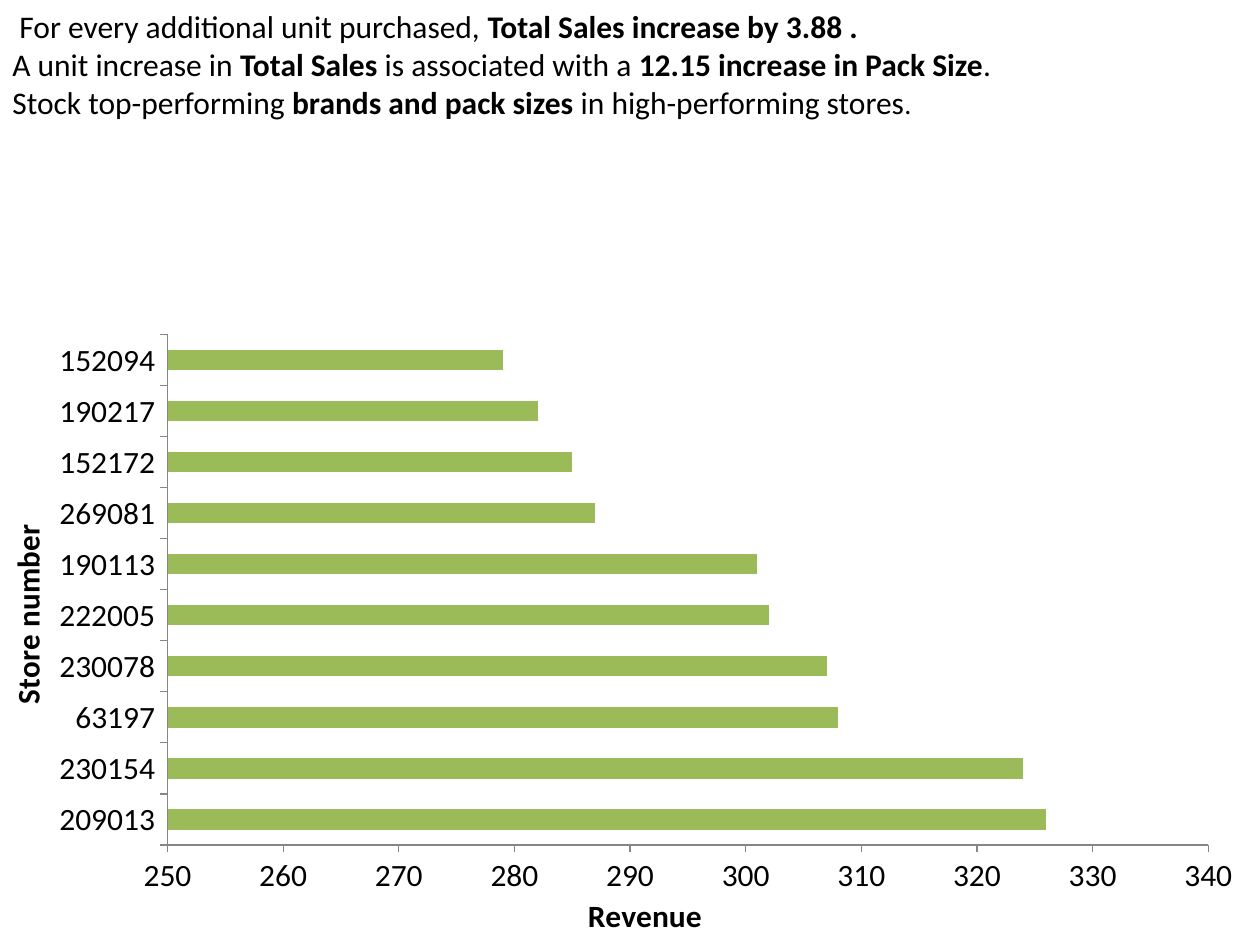
from dataclasses import dataclass
from typing import NamedTuple

import pptx
import pptx.chart.data
import pptx.dml.color
import pptx.enum.chart
import pptx.enum.text
import pptx.oxml
import pptx.oxml.ns
import pptx.util

EMU_PER_PX = 914400 / 126


@dataclass(frozen=True)
class Theme:
    font: str = "Calibri"
    size: int = 18
    small_size: int = 16
    text: str = "000000"
    bar: str = "9BBB59"
    axis: str = "868686"


class Box(NamedTuple):
    left: int
    top: int
    width: int
    height: int


class Run(NamedTuple):
    text: str
    bold: bool = False
    size: int = 18


class StoreRevenue(NamedTuple):
    store: str
    revenue: int


THEME = Theme()
SLIDE = Box(0, 0, 1260, 945)
FINDINGS_BOX = Box(0, 0, 1260, 251)
CHART_BOX = Box(0, 231, 1260, 714)
PLOT_BOX = Box(167, 336, 1041, 518)

FINDINGS = [
    [Run(" For every additional unit purchased, "), Run("Total Sales increase by 3.88 .", True)],
    [
        Run("A unit increase in "),
        Run("Total Sales", True),
        Run(" is associated with a "),
        Run("12.15 increase in Pack Size", True),
        Run("."),
    ],
    [
        Run("Stock top-performing "),
        Run("brands and pack sizes", True),
        Run(" in high-performing stores"),
        Run(".", size=THEME.small_size),
    ],
]

STORES = [
    StoreRevenue("209013", 326),
    StoreRevenue("230154", 324),
    StoreRevenue("63197", 308),
    StoreRevenue("230078", 307),
    StoreRevenue("222005", 302),
    StoreRevenue("190113", 301),
    StoreRevenue("269081", 287),
    StoreRevenue("152172", 285),
    StoreRevenue("190217", 282),
    StoreRevenue("152094", 279),
]


def px(length: int) -> int:
    return pptx.util.Emu(round(length * EMU_PER_PX))


def color(value: str):
    return pptx.dml.color.RGBColor.from_string(value)


def style_font(font, *, bold: bool = False, size: int = THEME.size) -> None:
    font.name = THEME.font
    font.size = pptx.util.Pt(size)
    font.bold = bold
    font.color.rgb = color(THEME.text)


def add_text(paragraph, text: str, *, bold: bool = False, size: int = THEME.size) -> None:
    run = paragraph.add_run()
    run.text = text
    style_font(run.font, bold=bold, size=size)


def add_findings(slide) -> None:
    frame = slide.shapes.add_textbox(*map(px, FINDINGS_BOX)).text_frame
    frame.word_wrap = True
    frame.vertical_anchor = pptx.enum.text.MSO_ANCHOR.TOP
    frame.margin_top = px(7)
    for index, runs in enumerate(FINDINGS):
        paragraph = frame.add_paragraph() if index else frame.paragraphs[0]
        for run in runs:
            add_text(paragraph, run.text, bold=run.bold, size=run.size)


def place(element, index: int, fractions: dict[str, float], *, inner: bool = False) -> None:
    """Give a chart part a manual layout, in fractions of the chart."""
    for layout in element.findall(pptx.oxml.ns.qn("c:layout")):
        element.remove(layout)
    target = '<c:layoutTarget val="inner"/>' if inner else ""
    modes = "".join(f'<c:{key}Mode val="edge"/>' for key in "xy")
    values = "".join(f'<c:{key} val="{value:.3f}"/>' for key, value in fractions.items())
    element.insert(index, pptx.oxml.parse_xml(
        f'<c:layout {pptx.oxml.ns.nsdecls("c")}><c:manualLayout>'
        f"{target}{modes}{values}</c:manualLayout></c:layout>"
    ))


def chart_fractions(left: int, top: int) -> dict[str, float]:
    return {
        "x": (left - CHART_BOX.left) / CHART_BOX.width,
        "y": (top - CHART_BOX.top) / CHART_BOX.height,
    }


def style_axis(axis, title: str, left: int, top: int) -> None:
    axis.has_major_gridlines = False
    axis.major_tick_mark = pptx.enum.chart.XL_TICK_MARK.OUTSIDE
    axis.minor_tick_mark = pptx.enum.chart.XL_TICK_MARK.NONE
    axis.format.line.color.rgb = color(THEME.axis)
    axis.format.line.width = pptx.util.Pt(0.75)
    style_font(axis.tick_labels.font)
    add_text(axis.axis_title.text_frame.paragraphs[0], title, bold=True)
    place(axis.axis_title._element, 1, chart_fractions(left, top))


def add_revenue_chart(slide) -> None:
    data = pptx.chart.data.CategoryChartData(number_format="0")
    data.categories = [row.store for row in STORES]
    data.add_series("Revenue", [row.revenue for row in STORES])
    chart = slide.shapes.add_chart(
        pptx.enum.chart.XL_CHART_TYPE.BAR_CLUSTERED, *map(px, CHART_BOX), data
    ).chart
    chart.has_legend = False
    chart.has_title = False
    style_font(chart.font)

    plot = chart.plots[0]
    plot.gap_width = 150
    plot.vary_by_categories = False
    fill = plot.series[0].format.fill
    fill.solid()
    fill.fore_color.rgb = color(THEME.bar)

    style_axis(chart.category_axis, "Store number", 0, 525)
    title_body = chart.category_axis.axis_title.text_frame._txBody.bodyPr
    title_body.set("rot", "-5400000")
    title_body.set("vert", "horz")
    style_axis(chart.value_axis, "Revenue", 582, 898)
    chart.value_axis.minimum_scale = 250
    chart.value_axis.maximum_scale = 340
    chart.value_axis.major_unit = 10
    chart.value_axis.tick_labels.number_format = "0"
    chart.value_axis.tick_labels.number_format_is_linked = False

    fractions = chart_fractions(PLOT_BOX.left, PLOT_BOX.top)
    fractions["w"] = PLOT_BOX.width / CHART_BOX.width
    fractions["h"] = PLOT_BOX.height / CHART_BOX.height
    place(chart._chartSpace.chart.plotArea, 0, fractions, inner=True)


def main() -> None:
    presentation = pptx.Presentation()
    presentation.slide_width = px(SLIDE.width)
    presentation.slide_height = px(SLIDE.height)
    slide = presentation.slides.add_slide(presentation.slide_layouts[6])
    add_revenue_chart(slide)
    add_findings(slide)
    presentation.save("out.pptx")


if __name__ == "__main__":
    main()
